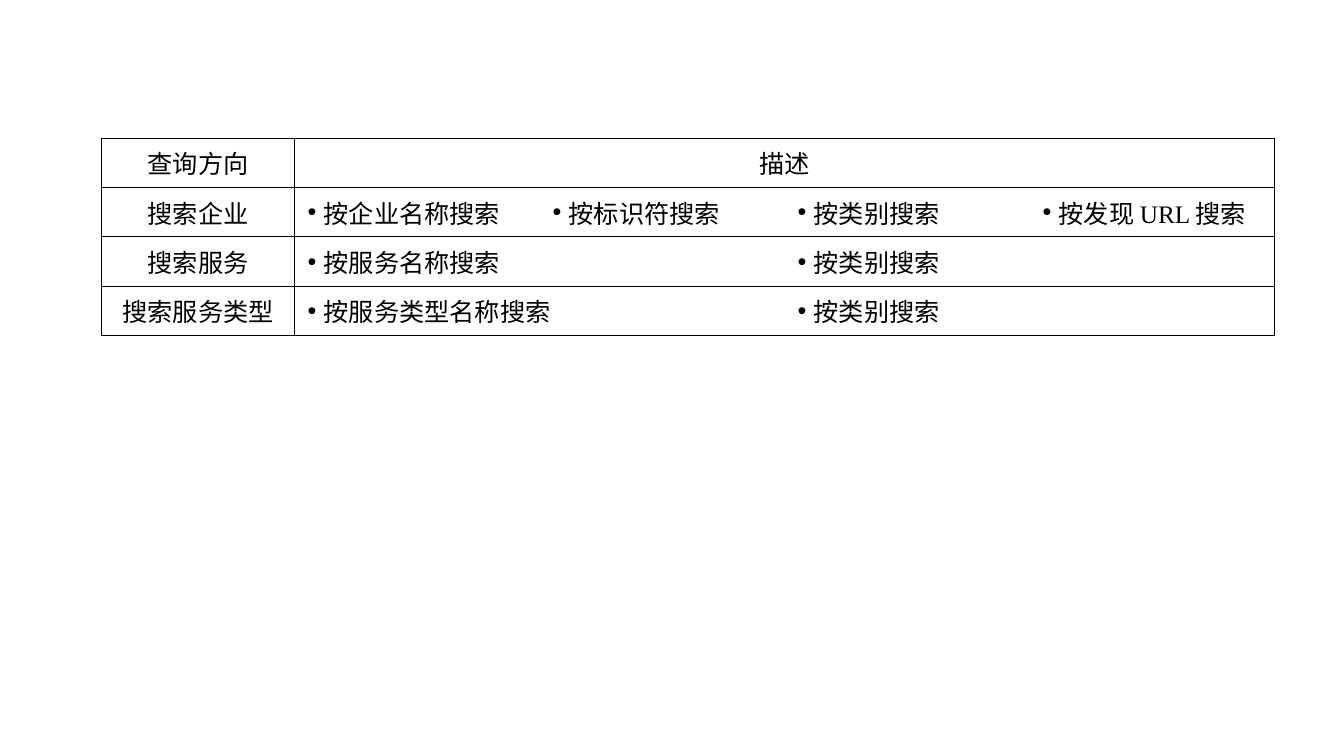
from lxml.etree import SubElement
from pptx import Presentation
from pptx.dml.color import RGBColor
from pptx.enum.text import MSO_ANCHOR, PP_ALIGN
from pptx.oxml.ns import qn
from pptx.util import Inches, Pt

COLORS = {"ink": "000000", "paper": "FFFFFF"}
CJK_FONT = "Noto Sans CJK SC"
LATIN_FONT = "Times New Roman"
COLUMN_WIDTHS = [1.91] + [2.43] * 4
ROW_HEIGHT = 0.49
LAST_COLUMN = len(COLUMN_WIDTHS) - 1

HEADINGS = ("查询方向", "描述")
SEARCHES = [
    ("搜索企业", [
        [("按企业名称搜索", CJK_FONT)],
        [("按标识符搜索", CJK_FONT)],
        [("按类别搜索", CJK_FONT)],
        [("按发现 ", CJK_FONT), ("URL ", LATIN_FONT), ("搜索", CJK_FONT)],
    ]),
    ("搜索服务", [[("按服务名称搜索", CJK_FONT)], [("按类别搜索", CJK_FONT)]]),
    ("搜索服务类型", [[("按服务类型名称搜索", CJK_FONT)], [("按类别搜索", CJK_FONT)]]),
]


def add_run(paragraph, text, font_name):
    run = paragraph.add_run()
    run.text = text
    run.font.size = Pt(18)
    run.font.color.rgb = RGBColor.from_string(COLORS["ink"])
    run.font.name = font_name
    SubElement(run.font._element, qn("a:ea"), typeface=CJK_FONT)


def write_label(cell, label):
    paragraph = cell.text_frame.paragraphs[0]
    paragraph.alignment = PP_ALIGN.CENTER
    add_run(paragraph, label, CJK_FONT)


def write_bullet(cell, runs):
    paragraph = cell.text_frame.paragraphs[0]
    properties = paragraph._p.get_or_add_pPr()
    properties.set("marL", str(Inches(0.19)))
    properties.set("indent", str(Inches(-0.16)))
    SubElement(properties, qn("a:buFont"), typeface="Arial")
    SubElement(properties, qn("a:buChar"), char="•")
    for text, font_name in runs:
        add_run(paragraph, text, font_name)


def set_borders(cell, visible_sides):
    properties = cell._tc.get_or_add_tcPr()
    for side in "LRTB":
        line = SubElement(properties, qn(f"a:ln{side}"), w=str(Pt(1)))
        if side in visible_sides:
            fill = SubElement(line, qn("a:solidFill"))
            SubElement(fill, qn("a:srgbClr"), val=COLORS["ink"])
        else:
            SubElement(line, qn("a:noFill"))


def style_cell(cell, column):
    sides = "TB"
    if column <= 1:
        sides += "L"
    if column == 0 or column + max(cell.span_width, 1) > LAST_COLUMN:
        sides += "R"
    set_borders(cell, sides)
    cell.fill.solid()
    cell.fill.fore_color.rgb = RGBColor.from_string(COLORS["paper"])
    cell.vertical_anchor = MSO_ANCHOR.MIDDLE


def merge_across(table, row, column, span):
    if span > 1:
        table.cell(row, column).merge(table.cell(row, column + span - 1))
    return table.cell(row, column)


def add_search_table(slide):
    row_count = len(SEARCHES) + 1
    table = slide.shapes.add_table(
        row_count, len(COLUMN_WIDTHS), Inches(1.01), Inches(1.37),
        Inches(sum(COLUMN_WIDTHS)), Inches(ROW_HEIGHT * row_count),
    ).table
    table.first_row = False
    table.horz_banding = False
    for column, width in zip(table.columns, COLUMN_WIDTHS):
        column.width = Inches(width)
    for row in table.rows:
        row.height = Inches(ROW_HEIGHT)

    direction, description = HEADINGS
    write_label(table.cell(0, 0), direction)
    write_label(merge_across(table, 0, 1, LAST_COLUMN), description)
    for row, (target, methods) in enumerate(SEARCHES, start=1):
        write_label(table.cell(row, 0), target)
        span = LAST_COLUMN // len(methods)
        for position, runs in enumerate(methods):
            write_bullet(merge_across(table, row, 1 + position * span, span), runs)

    for row in range(row_count):
        for column in range(len(COLUMN_WIDTHS)):
            style_cell(table.cell(row, column), column)


def main():
    presentation = Presentation()
    presentation.slide_width = Inches(13.33)
    presentation.slide_height = Inches(7.5)
    slide = presentation.slides.add_slide(presentation.slide_layouts[6])
    add_search_table(slide)
    presentation.save("out.pptx")


if __name__ == "__main__":
    main()
